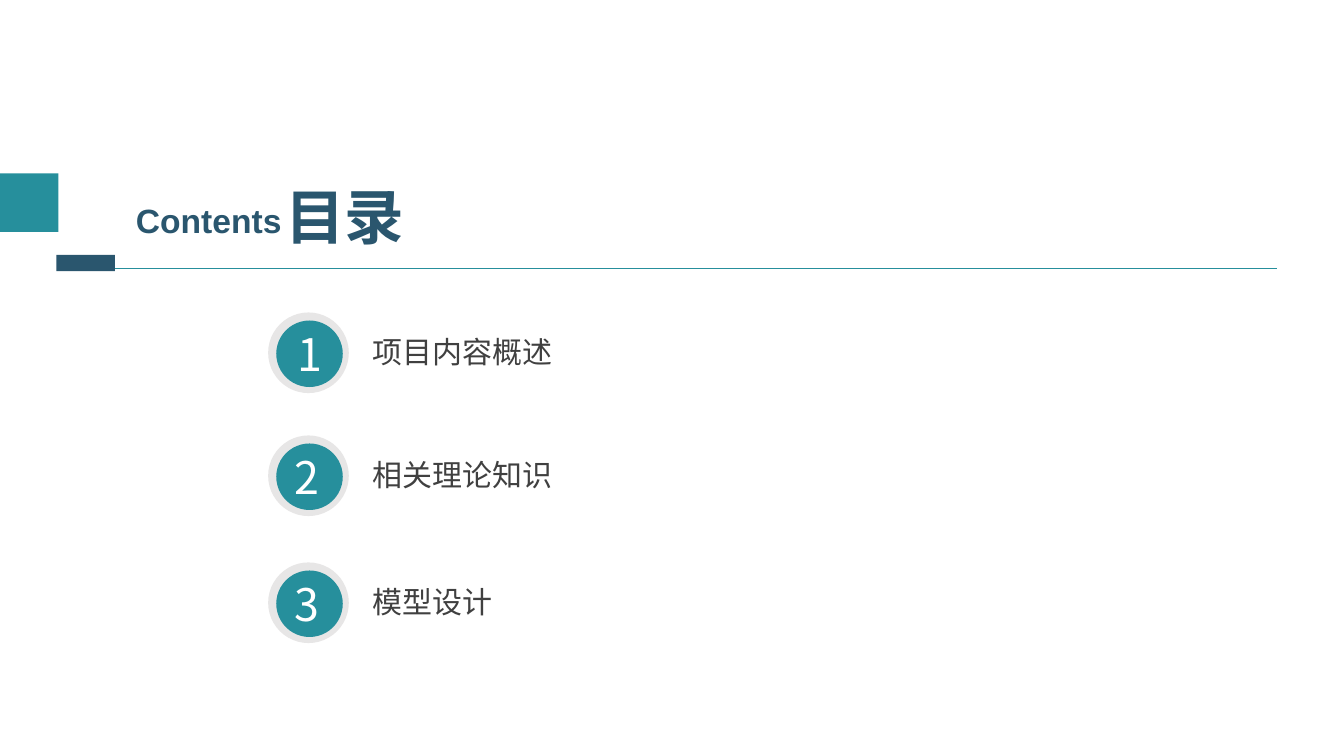
from collections import namedtuple

from lxml.etree import SubElement
from pptx import Presentation
from pptx.dml.color import RGBColor
from pptx.enum.shapes import MSO_CONNECTOR, MSO_SHAPE
from pptx.enum.text import MSO_ANCHOR
from pptx.oxml.ns import qn
from pptx.util import Inches, Pt

COLORS = {
    "teal": "268F9C",
    "navy": "2A566E",
    "ring": "E7E6E6",
    "text": "404040",
    "white": "FFFFFF",
}
CJK_FONT = "Noto Sans CJK SC"
CELL = Inches(0.1)
COLUMNS, ROWS = 133.3, 75
Box = namedtuple("Box", "column row columns rows")


def inside(region, column, row, columns, rows):
    """Return a box in slide cells, given its offset within a region."""
    return Box(region.column + column, region.row + row, columns, rows)


def lengths(box):
    """Convert grid cells to slide lengths."""
    return [round(cells * CELL) for cells in box]


def add_filled(page, kind, box, color):
    """Add a flat, borderless preset shape."""
    shape = page.shapes.add_shape(kind, *lengths(box))
    shape.shadow.inherit = False
    shape.fill.solid()
    shape.fill.fore_color.rgb = RGBColor.from_string(COLORS[color])
    shape.line.fill.background()


def add_label(page, box, text, size, color, font=CJK_FONT, bold=False):
    """Add one line of text centred vertically on its box."""
    frame = page.shapes.add_textbox(*lengths(box)).text_frame
    frame.word_wrap = True
    frame.vertical_anchor = MSO_ANCHOR.MIDDLE
    frame.text = text
    span = frame.paragraphs[0].runs[0]
    span.font.size = Pt(size)
    span.font.bold = bold
    span.font.name = font
    span.font.color.rgb = RGBColor.from_string(COLORS[color])
    SubElement(span.font._element, qn("a:ea")).set("typeface", font)


def add_heading(page, region):
    """Draw the title, its rule and the two accent blocks."""
    x, y, width, height = lengths(inside(region, 5.9, 9.4, 120.8, 0))
    rule = page.shapes.add_connector(MSO_CONNECTOR.STRAIGHT, x, y, x + width, y + height)
    rule.line.color.rgb = RGBColor.from_string(COLORS["teal"])
    rule.line.width = Pt(0.75)
    SubElement(rule._element.spPr, qn("a:effectLst"))
    add_label(page, inside(region, 27.3, 0.1, 17.1, 8.2), "目录", 42.6, "navy", bold=True)
    add_label(page, inside(region, 12.5, 2.1, 20.6, 5), "Contents", 24, "navy", "Arial", True)
    add_filled(page, MSO_SHAPE.RECTANGLE, inside(region, 0, 0, 5.8, 5.8), "teal")
    add_filled(page, MSO_SHAPE.RECTANGLE, inside(region, 5.6, 8.1, 5.8, 1.6), "navy")


def add_entry(page, region, number, title, number_column):
    """Draw a numbered badge followed by the title of a chapter."""
    add_filled(page, MSO_SHAPE.OVAL, inside(region, 0, 0, 8, 8), "ring")
    add_filled(page, MSO_SHAPE.OVAL, inside(region, 0.8, 0.8, 6.6, 6.6), "teal")
    add_label(page, inside(region, number_column, 0.9, 4.8, 6.4), str(number), 32, "white")
    add_label(page, inside(region, 9.4, 1.6, 21.3, 4.6), title, 21.4, "text")


def main():
    """Build the contents slide."""
    deck = Presentation()
    deck.slide_width, deck.slide_height = round(COLUMNS * CELL), round(ROWS * CELL)
    page = deck.slides.add_slide(deck.slide_layouts[6])
    add_heading(page, Box(0, 17.2, COLUMNS, 9.7))
    entries = [
        (31, "项目内容概述", 1.9),
        (43.2, "相关理论知识", 1.6),
        (55.8, "模型设计", 1.6),
    ]
    for number, (row, title, number_column) in enumerate(entries, 1):
        add_entry(page, Box(26.6, row, 30.7, 8), number, title, number_column)
    deck.save("out.pptx")


if __name__ == "__main__":
    main()
